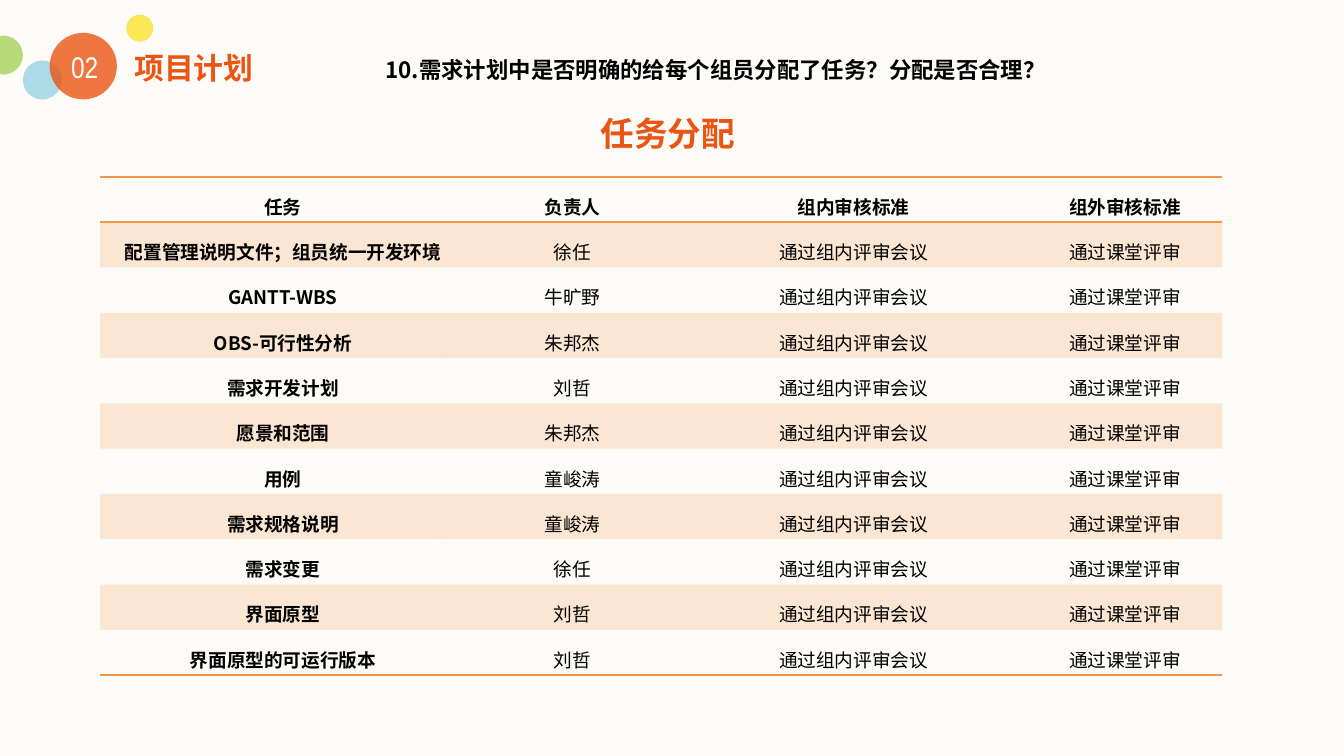
from lxml.etree import SubElement
from pptx import Presentation
from pptx.dml.color import RGBColor
from pptx.enum.shapes import MSO_SHAPE
from pptx.enum.text import MSO_ANCHOR, MSO_AUTO_SIZE, PP_ALIGN
from pptx.oxml.ns import qn
from pptx.util import Inches, Pt

CJK = "Noto Sans CJK SC"
ORANGE, BAND = "EA5514", "F79646"


def paint(fill, color, opacity=100):
    fill.solid()
    fill.fore_color.rgb = RGBColor.from_string(color)
    if opacity < 100:
        clr = fill._xPr.find(qn("a:solidFill"))[0]
        SubElement(clr, qn("a:alpha"), val=str(opacity * 1000))


def write(tf, text, size, color="000000", bold=True, name=CJK,
          align=PP_ALIGN.LEFT, indent=0):
    p = tf.paragraphs[0]
    p.text = text
    p.alignment = align
    if indent:
        p._p.get_or_add_pPr().set("indent", str(Inches(indent)))
    font = p.font
    font.size, font.bold, font.name = Pt(size), bold, name
    paint(font.fill, color)
    SubElement(font._rPr, qn("a:ea"), typeface=name)
    return p


prs = Presentation()
prs.slide_width = Inches(10)
prs.slide_height = prs.slide_width * 9 // 16
U = prs.slide_width // 100  # square grid, 100 columns across the slide
s = prs.slides.add_slide(prs.slide_layouts[5])
paint(s.background.fill, "FCFBF7")

# Slide title
title = s.shapes.title
title.left, title.top, title.width, title.height = (
    int(v * U) for v in (43.7, 7.9, 15, 4))
tf = title.text_frame
tf.vertical_anchor = MSO_ANCHOR.TOP
tf.auto_size = MSO_AUTO_SIZE.SHAPE_TO_FIT_TEXT
write(tf, "任务分配", 18, ORANGE)

# Task table
header = ["任务", "负责人", "组内审核标准", "组外审核标准"]
tasks = [
    ("配置管理说明文件；组员统一开发环境", "徐任"),
    ("GANTT-WBS", "牛旷野"),
    ("OBS-可行性分析", "朱邦杰"),
    ("需求开发计划", "刘哲"),
    ("愿景和范围", "朱邦杰"),
    ("用例", "童峻涛"),
    ("需求规格说明", "童峻涛"),
    ("需求变更", "徐任"),
    ("界面原型", "刘哲"),
    ("界面原型的可运行版本", "刘哲"),
]
rows = [header] + [[*task, "通过组内评审会议", "通过课堂评审"] for task in tasks]
widths = [25.8, 17.3, 24.5, 15.9]
last = len(rows) - 1
frame = s.shapes.add_table(len(rows), len(widths), int(7.45 * U), int(13.16 * U),
                           int(sum(widths) * U), int(37.1 * U))
table = frame.table
table.first_row = table.horz_banding = False
style = table._tbl.tblPr.find(qn("a:tableStyleId"))
style.text = "{2D5ABB26-0587-4C30-8999-92F81FD0307C}"  # no style, no grid
for column, width in zip(table.columns, widths):
    column.width = int(width * U)

for i, row in enumerate(rows):
    edges = {0: ["a:lnT", "a:lnB"], last: ["a:lnB"]}.get(i, [])
    for j, text in enumerate(row):
        cell = table.cell(i, j)
        cell.margin_left = cell.margin_right = Inches(0.04)
        cell.margin_top = cell.margin_bottom = 0
        cell.vertical_anchor = MSO_ANCHOR.MIDDLE
        p = write(cell.text_frame, text, 10, bold=i == 0 or j == 0,
                  align=PP_ALIGN.CENTER, indent=0.14)
        p.line_spacing = 1.5
        p.space_after = Pt(6)
        for edge in edges:
            ln = SubElement(cell._tc.get_or_add_tcPr(), qn(edge), w=str(Pt(1)))
            solid = SubElement(ln, qn("a:solidFill"))
            SubElement(solid, qn("a:srgbClr"), val=BAND)
        if i % 2:
            paint(cell.fill, BAND, 20)
        else:
            cell.fill.background()

# Overlapping circles behind the section number
for x, y, w, h, color in [
    (9.4, 1.1, 2, 2, "FBE22D"),
    (-1.2, 2.65, 2.9, 2.9, "A9D25A"),
    (1.7, 4.5, 2.9, 2.9, "98D2E3"),
    (3.7, 2.45, 5, 4.95, ORANGE),
]:
    sp = s.shapes.add_shape(MSO_SHAPE.OVAL, *(int(v * U) for v in (x, y, w, h)))
    sp.shadow.inherit = False
    paint(sp.fill, color, 80)
    sp.line.fill.background()

# Section name, section number and the review question
for box, inset, text, size, look in [
    ((10, 3.7, 10.1, 2.7), False, "项目计划", 16, {"color": ORANGE}),
    ((3.9, 3.6, 4.8, 2.7), False, "02", 16,
     {"color": "FFFFFF", "bold": False, "name": "Arial Narrow",
      "align": PP_ALIGN.CENTER}),
    ((24.8, 3.7, 63, 3), True,
     "10.需求计划中是否明确的给每个组员分配了任务？分配是否合理？", 12,
     {"indent": 0.29}),
]:
    tf = s.shapes.add_textbox(*(int(v * U) for v in box)).text_frame
    tf.word_wrap = True
    tf.auto_size = MSO_AUTO_SIZE.SHAPE_TO_FIT_TEXT
    if not inset:
        tf.margin_left = tf.margin_right = tf.margin_top = tf.margin_bottom = 0
    write(tf, text, size, **look)

prs.save("out.pptx")
